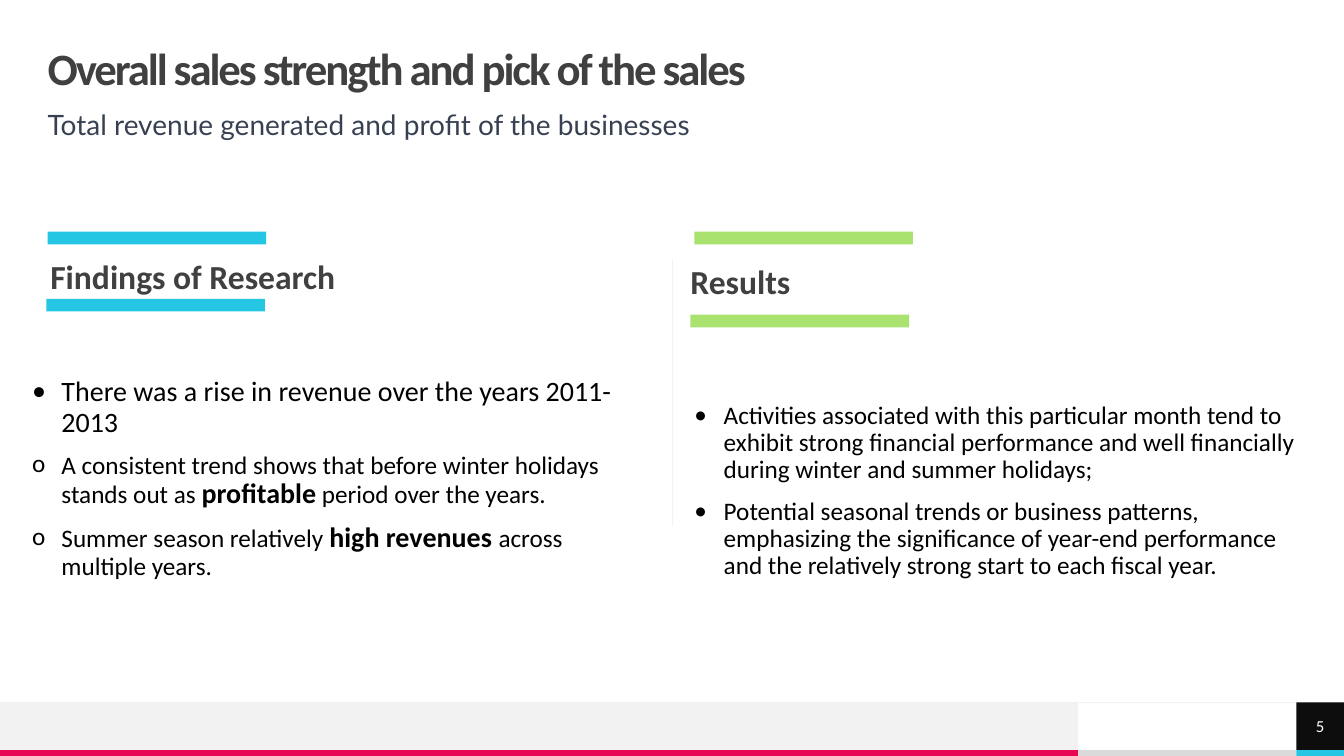
import pptx
import pptx.dml.color
import pptx.enum.shapes
import pptx.enum.text
import pptx.oxml
import pptx.oxml.ns
import pptx.util
from pptx.util import Cm

COLORS = {
    "white": "FFFFFF", "black": "000000", "near_black": "0D0D0D",
    "dark_gray": "404040", "slate": "374151", "light_gray": "F2F2F2",
    "mid_gray": "DADADA", "cyan": "25C6E3", "green": "A9E26F", "pink": "E80554",
}
ANCHOR = pptx.enum.text.MSO_ANCHOR
SLIDE_WIDTH, SLIDE_HEIGHT = 33.87, 19.05
BAR_WIDTH, BAR_HEIGHT = 5.51, 0.32
INDENT = 0.74


def rgb(name):
    return pptx.dml.color.RGBColor.from_string(COLORS[name])


def add_bar(slide, left, top, width, height, color):
    shape = slide.shapes.add_shape(pptx.enum.shapes.MSO_SHAPE.RECTANGLE,
                                   Cm(left), Cm(top), Cm(width), Cm(height))
    shape.shadow.inherit = False
    shape.fill.solid()
    shape.fill.fore_color.rgb = rgb(color)
    shape.line.fill.background()
    return shape


def add_rule(slide, x1, y1, x2, y2):
    connector = slide.shapes.add_connector(pptx.enum.shapes.MSO_CONNECTOR.STRAIGHT,
                                           Cm(x1), Cm(y1), Cm(x2), Cm(y2))
    connector.line.color.rgb = rgb("light_gray")
    connector.line.width = pptx.util.Pt(0.5)
    connector._element.spPr.append(pptx.oxml.parse_xml(
        f'<a:effectLst {pptx.oxml.ns.nsdecls("a")}/>'))


def add_run(paragraph, text, size=18, color="black", font="Calibri", bold=False, spacing=0):
    run = paragraph.add_run()
    run.text = text
    run.font.size = pptx.util.Pt(size)
    run.font.color.rgb = rgb(color)
    run.font.name = font
    run.font.bold = bold
    if spacing:
        run._r.get_or_add_rPr().set("spc", str(round(spacing * 100)))


def prepare_frame(shape, anchor=ANCHOR.TOP):
    frame = shape.text_frame
    frame.word_wrap = True
    frame.vertical_anchor = anchor
    frame.margin_left = frame.margin_top = frame.margin_right = frame.margin_bottom = 0
    return frame


def add_text_box(slide, left, top, width, height, anchor=ANCHOR.TOP):
    shape = slide.shapes.add_textbox(Cm(left), Cm(top), Cm(width), Cm(height))
    return prepare_frame(shape, anchor)


def add_line(slide, text, box, anchor=ANCHOR.TOP, space_before=10, **run_format):
    paragraph = add_text_box(slide, *box, anchor=anchor).paragraphs[0]
    paragraph.line_spacing = 0.9
    paragraph.space_before = pptx.util.Pt(space_before)
    add_run(paragraph, text, **run_format)


def add_bullets(slide, items, box):
    """Each item is (bullet, size, text); parts between asterisks are bold."""
    frame = add_text_box(slide, *box)
    namespace = pptx.oxml.ns.nsdecls("a")
    for index, (bullet, size, text) in enumerate(items):
        paragraph = frame.add_paragraph() if index else frame.paragraphs[0]
        paragraph.line_spacing = 0.9
        paragraph.space_before = pptx.util.Pt(10)
        properties = paragraph._p.get_or_add_pPr()
        properties.set("marL", str(Cm(INDENT)))
        properties.set("indent", str(-Cm(INDENT)))
        for tag in ('buFont typeface="Calibri"', f'buChar char="{bullet}"'):
            name, attribute = tag.split(" ", 1)
            properties.append(pptx.oxml.parse_xml(f'<a:{name} {namespace} {attribute}/>'))
        for part, words in enumerate(text.split("*")):
            bold = part % 2 == 1
            add_run(paragraph, words, size=20 if bold else size, bold=bold)


def add_header(slide, left, top, width):
    add_line(slide, "Overall sales strength and pick of the sales", (left, top, width, 1.19),
             anchor=ANCHOR.MIDDLE, space_before=0, size=32, color="dark_gray",
             bold=True, spacing=-1.5)
    add_line(slide, "Total revenue generated and profit of the businesses",
             (left, top + 1.6, width, 0.99), size=20, color="slate", font="Lato")


def add_column(slide, left, top, heading, items, color, heading_at, lower_bar_at, body_at):
    """The three positions are offsets from the column's upper bar."""
    def place(offset):
        return left + offset[0], top + offset[1]

    add_bar(slide, left, top, BAR_WIDTH, BAR_HEIGHT, color)
    add_bar(slide, *place(lower_bar_at), BAR_WIDTH, BAR_HEIGHT, color)
    add_line(slide, heading, (*place(heading_at), 15.19, 0.99),
             size=24, color="dark_gray", bold=True)
    add_bullets(slide, items, (*place(body_at), 15.19, 6.1))


def add_footer(slide, top, height):
    strip = 0.15
    band = height - strip
    band_width, number_left = 27.17, 32.67

    # Band and coloured strips
    add_bar(slide, 0, top, band_width, band, "light_gray")
    for left, right, color in ((0, band_width, "pink"),
                               (band_width, number_left, "mid_gray"),
                               (number_left, SLIDE_WIDTH, "cyan")):
        add_bar(slide, left, top + band, right - left, strip, color)
    add_rule(slide, SLIDE_WIDTH, top, 0, top)

    # Slide number
    number = add_bar(slide, number_left, top, SLIDE_WIDTH - number_left, band, "near_black")
    paragraph = prepare_frame(number, ANCHOR.MIDDLE).paragraphs[0]
    paragraph.alignment = pptx.enum.text.PP_ALIGN.CENTER
    add_run(paragraph, "5", size=12, color="white")


def main():
    presentation = pptx.Presentation()
    presentation.slide_width = Cm(SLIDE_WIDTH)
    presentation.slide_height = Cm(SLIDE_HEIGHT)
    slide = presentation.slides.add_slide(presentation.slide_layouts[6])

    add_footer(slide, 17.7, SLIDE_HEIGHT - 17.7)
    add_header(slide, 1.2, 1.2, 31.5)

    # Two columns with a divider
    add_column(slide, 1.2, 5.84, "Findings of Research", [
        ("•", 20, "There was a rise in revenue over the years 2011-2013"),
        ("o", 18, "A consistent trend shows that before winter holidays stands out as "
                  "*profitable* period over the years."),
        ("o", 18, "Summer season relatively *high revenues *across multiple years."),
    ], "cyan", heading_at=(0.07, 0.72), lower_bar_at=(-0.03, 1.69), body_at=(-0.39, 3.68))
    add_rule(slide, 16.94, 6.55, 16.94, 13.25)
    add_column(slide, 17.5, 5.84, "Results", [
        ("•", 18, "Activities associated with this particular month tend to exhibit strong "
                  "financial performance and well financially during winter and summer holidays;"),
        ("•", 18, "Potential seasonal trends or business patterns, emphasizing the significance "
                  "of year-end performance and the relatively strong start to each fiscal year."),
    ], "green", heading_at=(-0.1, 0.84), lower_bar_at=(-0.1, 2.09), body_at=(0, 4.31))

    presentation.save("out.pptx")


if __name__ == "__main__":
    main()
